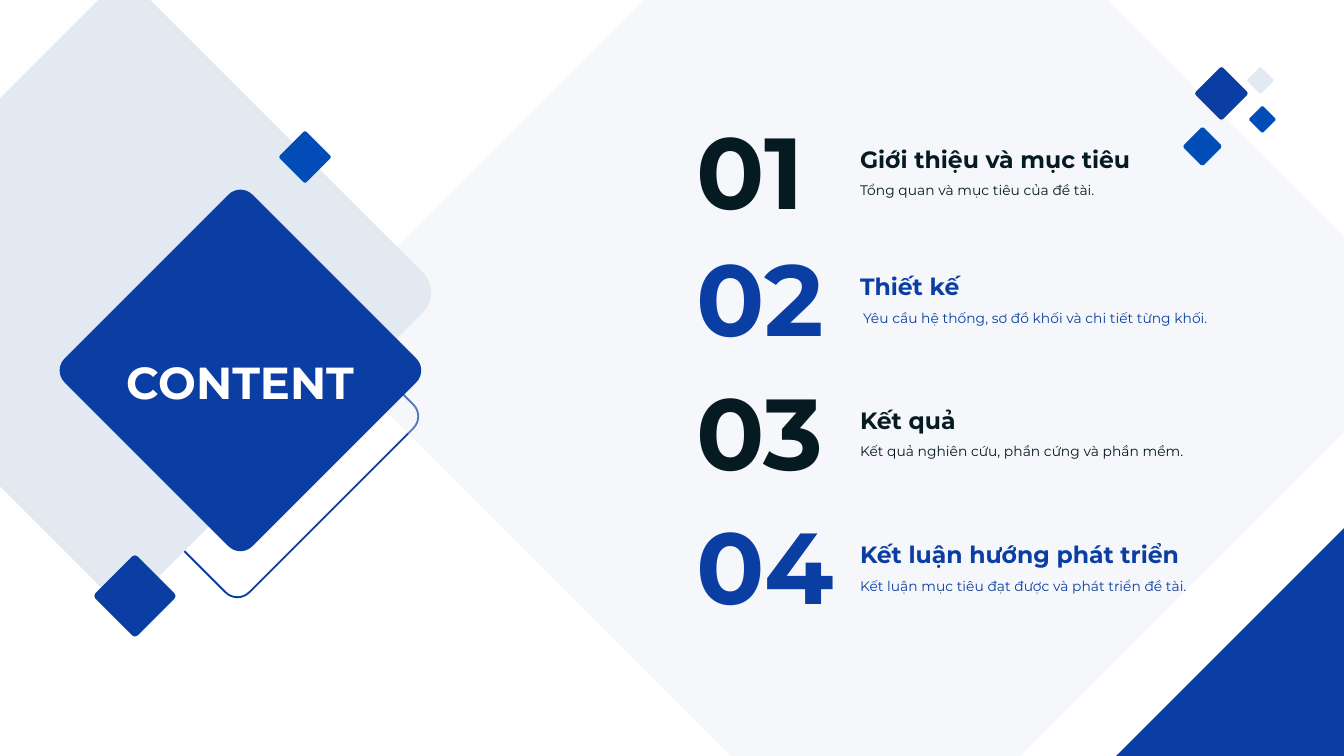
from lxml import etree
from pptx import Presentation
from pptx import util as u
from pptx.dml.color import RGBColor
from pptx.enum import text as t
from pptx.oxml import ns

SCALE = 9144000 / 1344
FONT = "Montserrat"
BLUE, AZURE, PALE, DARK, WHITE = "0B3EA2", "014CB7", "E2E9F1", "061A21", "FFFFFF"

BACK = [(325, -216, 1101, PALE, 34), (-185, -17, 619, PALE, 100)]
CORNER = [(1195, 67, 53, BLUE), (1183, 127, 39, AZURE),
          (1249, 106, 27, AZURE), (1247, 67, 27, PALE)]
EDGE = [(1085, 511, 569, BLUE), (279, 131, 52, AZURE), (94, 555, 82, BLUE)]
ITEMS = [
    (130, "01", "Giới thiệu và mục tiêu", "Tổng quan và mục tiêu của đề tài.", 0),
    (257, "02", "Thiết kế", "Yêu cầu hệ thống, sơ đồ khối và chi tiết từng khối.", 3),
    (391, "03", "Kết quả", "Kết quả nghiên cứu, phần cứng và phần mềm.", 0),
    (525, "04", "Kết luận hướng phát triển",
     "Kết luận mục tiêu đạt được và phát triển đề tài.", 0),
]


def px(n):
    """Turn px into EMU."""
    return u.Emu(round(n * SCALE))


def paint(color, hue):
    """Set a fill, line or font colour from a hex string."""
    color.rgb = RGBColor.from_string(hue)


def curve(shape):
    """Turn the three lines at each corner into one curve."""
    lines = list(shape._element.iter(ns.qn("a:lnTo")))
    for k in range(0, len(lines), 4):
        bend = etree.Element(ns.qn("a:cubicBezTo"))
        lines[k].addprevious(bend)
        for line in lines[k:k + 3]:
            bend.append(line[0])
            line.getparent().remove(line)


def gem(shapes, left, top, size, hue, alpha=100, line=False):
    """Draw a diamond with rounded corners in a square box."""
    half = size / 2
    wide, deep = half * 0.066, half * 0.037
    tip = [(-wide, deep - half), (deep - wide, -half),
           (wide - deep, -half), (wide, deep - half)]
    dots = []
    for _ in range(4):
        dots += tip
        tip = [(-y, x) for x, y in tip]
    dots = [(px(left + half + x), px(top + half + y)) for x, y in dots]
    path = shapes.build_freeform(*dots[0], scale=1.0)
    path.add_line_segments(dots[1:], close=True)
    shape = path.convert_to_shape()
    curve(shape)
    shape.shadow.inherit = False
    if line:
        shape.fill.background()
        paint(shape.line.color, hue)
        shape.line.width = u.Pt(1)
        return
    shape.line.fill.background()
    shape.fill.solid()
    paint(shape.fill.fore_color, hue)
    if alpha < 100:
        tone = shape.fill._xPr.find(".//" + ns.qn("a:srgbClr"))
        etree.SubElement(tone, ns.qn("a:alpha")).set("val", str(alpha * 1000))


def label(shapes, box, words, size, hue, bold=True, anchor=t.MSO_ANCHOR.MIDDLE,
          align=t.PP_ALIGN.LEFT, wrap=False, inset=None):
    """Place one line of text in a box."""
    frame = shapes.add_textbox(*map(px, box)).text_frame
    frame.text = words
    frame.word_wrap = wrap
    frame.vertical_anchor = anchor
    if inset is not None:
        frame.margin_left = px(inset)
        frame.margin_top = frame.margin_right = frame.margin_bottom = 0
    para = frame.paragraphs[0]
    para.alignment = align
    font = para.runs[0].font
    font.name, font.size, font.bold = FONT, u.Pt(size), bold
    paint(font.color, hue)


def item(shapes, left, top, num, head, note, shift, hue):
    """Place a number with its heading and note."""
    label(shapes, (left, top, 170, 78), num, 54, hue)
    group = shapes.add_group_shape().shapes
    side = left + 125
    label(group, (side, top + 16, 437, 27), head, 12.6, hue,
          anchor=t.MSO_ANCHOR.BOTTOM, inset=52)
    label(group, (side + shift, top + 43, 437, 35), note, 7.4, hue,
          bold=False, wrap=True, inset=52)


def badge(shapes, left, top, size):
    """Draw the title diamond."""
    gem(shapes, left, top, size, BLUE)
    label(shapes, (left + 47, top + 160, 270, 44), "CONTENT", 24, WHITE,
          anchor=t.MSO_ANCHOR.TOP, align=t.PP_ALIGN.CENTER)


def main():
    """Build the slide and save it."""
    deck = Presentation()
    deck.slide_width, deck.slide_height = px(1344), px(756)
    shapes = deck.slides.add_slide(deck.slide_layouts[6]).shapes
    gem(shapes, 55, 234, 365, BLUE, line=True)
    for part in BACK:
        gem(shapes, *part)
    badge(shapes, 58, 188, 365)
    for k, (top, *words) in enumerate(ITEMS):
        item(shapes, 683, top, *words, (DARK, BLUE)[k % 2])
    for part in CORNER + EDGE:
        gem(shapes, *part)
    deck.save("out.pptx")


if __name__ == "__main__":
    main()
